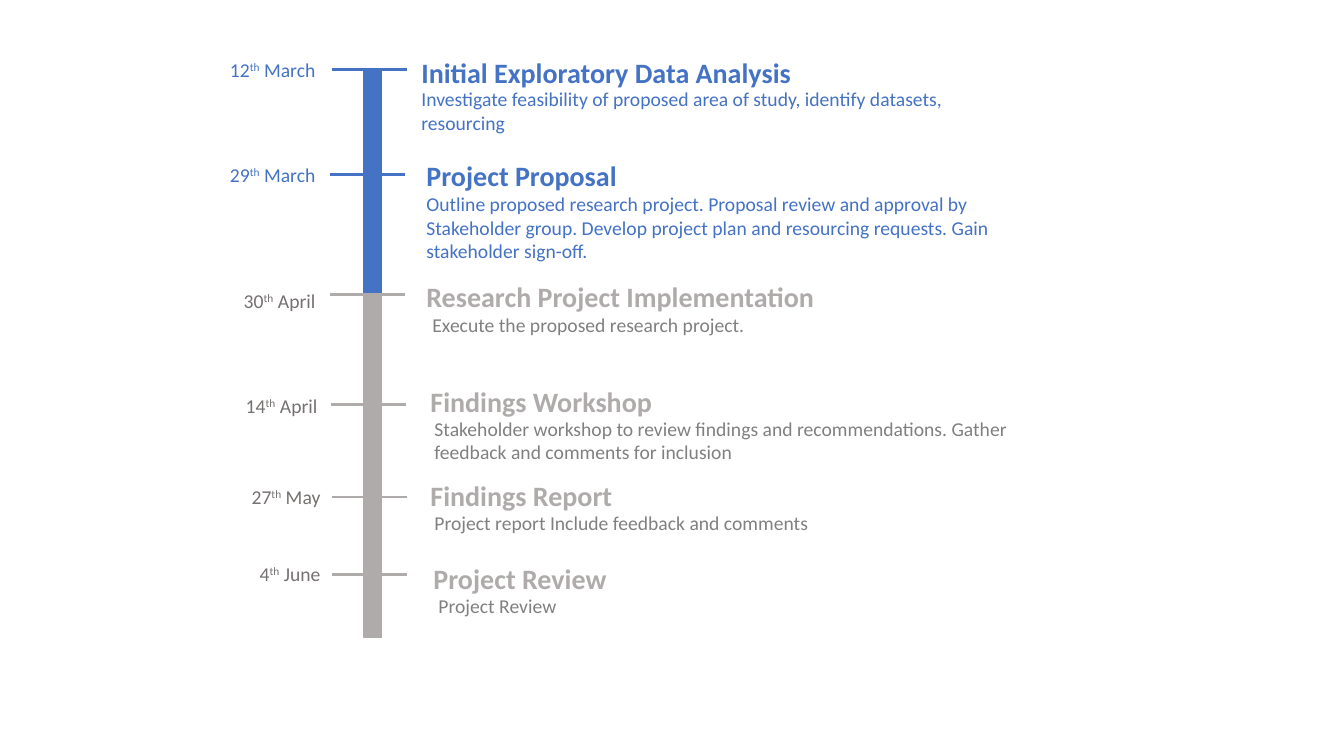
import pptx
import pptx.util
import pptx.dml.color
import pptx.enum.shapes
import pptx.enum.text
import pptx.oxml.ns
import lxml.etree

BLUE = pptx.dml.color.RGBColor(0x44, 0x72, 0xC4)
SILVER = pptx.dml.color.RGBColor(0xAF, 0xAB, 0xAB)
GRAY = pptx.dml.color.RGBColor(0x80, 0x80, 0x80)
SLATE = pptx.dml.color.RGBColor(0x76, 0x71, 0x71)

# The slide is divided into square cells
COLUMNS, ROWS = 133.33, 75
CELL = pptx.util.Inches(0.1)


def cells(*lengths):
    return [round(length * CELL) for length in lengths]


def assign(target, values):
    for name, value in values.items():
        setattr(target, name, value)


class Timeline:
    font = "Calibri"
    heading_size, body_size, tail_size = 20, 14, 28
    line_weight = pptx.util.Pt(2)

    def __init__(self, deck):
        self.page = deck.slides.add_slide(deck.slide_layouts[6])

    def bar(self, left, top, width, height, color):
        shape = self.page.shapes.add_shape(
            pptx.enum.shapes.MSO_SHAPE.RECTANGLE, *cells(left, top, width, height))
        shape.shadow.inherit = False
        shape.fill.solid()
        shape.fill.fore_color.rgb = color
        shape.line.color.rgb = color
        shape.line.width = pptx.util.Pt(1)

    def tick(self, left, row, width, color):
        line = self.page.shapes.add_connector(
            pptx.enum.shapes.MSO_CONNECTOR.STRAIGHT, *cells(left, row, left + width, row))
        line.line.color.rgb = color
        line.line.width = self.line_weight
        lxml.etree.SubElement(line._element.spPr, pptx.oxml.ns.qn("a:effectLst"))

    def text(self, left, top, width, height, spans, color, right_inset=0, align="LEFT"):
        """Each span is (text, size, bold, baseline in thousandths of a percent)."""
        box = self.page.shapes.add_textbox(*cells(left, top, width, height))
        assign(box.text_frame, {
            "word_wrap": True,
            "auto_size": pptx.enum.text.MSO_AUTO_SIZE.SHAPE_TO_FIT_TEXT,
            "vertical_anchor": pptx.enum.text.MSO_ANCHOR.MIDDLE,
            "margin_left": 0, "margin_right": right_inset,
            "margin_top": CELL // 2, "margin_bottom": CELL // 2})
        para = box.text_frame.paragraphs[0]
        para.alignment = getattr(pptx.enum.text.PP_ALIGN, align)
        for words, size, bold, baseline in spans:
            span = para.add_run()
            span.text = words
            assign(span.font, {"name": self.font, "size": pptx.util.Pt(size), "bold": bold})
            span.font.color.rgb = color
            if baseline:
                span._r.get_or_add_rPr().set("baseline", str(baseline))

    def heading(self, left, top, width, words, color, tall):
        spans = [(words, self.heading_size, True, 0)]
        if tall:
            spans.append((" ", self.tail_size, False, 0))
        self.text(left, top, width, 5.7 if tall else 4.4, spans, color, right_inset=CELL)

    def body(self, left, top, width, lines, words, color):
        self.text(left, top, width, 3.4 + 2.35 * (lines - 1),
                  [(words, self.body_size, False, 0)], color)

    def date(self, left, top, day, month, color):
        spans = [(day, self.body_size, False, 0), ("th", self.body_size, False, 30000),
                 (" " + month, self.body_size, False, 0)]
        self.text(left, top, 9.7, 3.4, spans, color, align="RIGHT")


# done, date (left, top, day, month), tick (left, row),
# heading (left, top, width, words, tall), body (left, top, width, lines, words)
MILESTONES = [
    (True, (21.6, 5.2, "12", "March"), (32.9, 6.9),
     (41.8, 5, 51.7, "Initial Exploratory Data Analysis", False),
     (41.8, 8.1, 54.8, 2, "Investigate feasibility of proposed area of study, "
      "identify datasets, resourcing")),
    (True, (21.6, 15.6, "29", "March"), (32.7, 17.3),
     (42.3, 15.2, 59.9, "Project Proposal", False),
     (42.3, 18.5, 63, 3, "Outline proposed research project. Proposal review and "
      "approval by Stakeholder group. Develop project plan and resourcing requests. "
      "Gain stakeholder sign-off.")),
    (False, (21.6, 28.1, "30", "April"), (32.7, 29.2),
     (42.3, 26.1, 59.3, "Research Project Implementation", True),
     (42.9, 30.5, 59.3, 1, "Execute the proposed research project.")),
    (False, (21.8, 38.5, "14", "April"), (32.8, 40.1),
     (42.7, 36.5, 50.9, "Findings Workshop", True),
     (43.1, 40.8, 58.7, 2, "Stakeholder workshop to review findings and "
      "recommendations. Gather feedback and comments for inclusion")),
    (False, (22.1, 47.6, "27", "May"), (32.9, 49.3),
     (42.7, 46.9, 57.9, "Findings Report", False),
     (43.1, 50.2, 57.8, 1, "Project report Include feedback and comments")),
    (False, (22.1, 55.2, "4", "June"), (32.9, 57),
     (43, 55.2, 57, "Project Review", False),
     (43.5, 58.4, 56.9, 1, "Project Review")),
]

deck = pptx.Presentation()
deck.slide_width, deck.slide_height = cells(COLUMNS, ROWS)
timeline = Timeline(deck)

# Progress bar: finished part over the full span, then the remaining part
BAR_LEFT, BAR_WIDTH, BAR_END = 36.1, 1.7, 63.2
for top, color in ((6.9, BLUE), (29.2, SILVER)):
    timeline.bar(BAR_LEFT, top, BAR_WIDTH, BAR_END - top, color)

# Milestones
for done, date, tick, heading, body in MILESTONES:
    accent = BLUE if done else SILVER
    timeline.tick(*tick, 7.5, accent)
    timeline.date(*date, BLUE if done else SLATE)
    *place, words, tall = heading
    timeline.heading(*place, words, accent, tall)
    timeline.body(*body, BLUE if done else GRAY)

deck.save("out.pptx")
